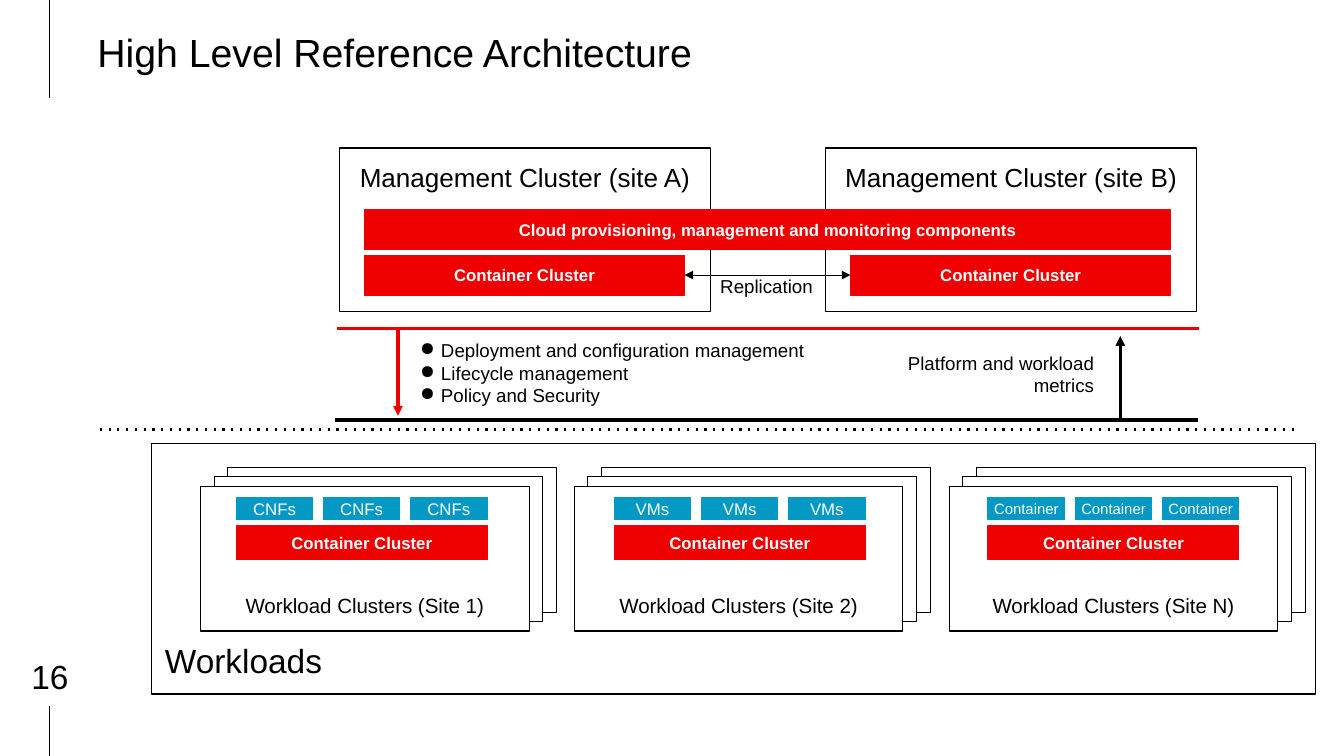
from dataclasses import dataclass

from lxml import etree
from pptx import Presentation
from pptx.dml.color import RGBColor
from pptx.enum.shapes import MSO_CONNECTOR, MSO_SHAPE
from pptx.enum.text import MSO_ANCHOR, PP_ALIGN
from pptx.oxml.ns import qn
from pptx.util import Emu, Inches, Pt

RECT = MSO_SHAPE.RECTANGLE
STRAIGHT = MSO_CONNECTOR.STRAIGHT
TOP, MIDDLE, BOTTOM = MSO_ANCHOR.TOP, MSO_ANCHOR.MIDDLE, MSO_ANCHOR.BOTTOM
LEFT, CENTER, RIGHT = PP_ALIGN.LEFT, PP_ALIGN.CENTER, PP_ALIGN.RIGHT

BLACK = RGBColor(0x00, 0x00, 0x00)
WHITE = RGBColor(0xFF, 0xFF, 0xFF)
RED = RGBColor(0xEE, 0x00, 0x00)
BLUE = RGBColor(0x04, 0x99, 0xC5)

FONT = "Arial"
PAD = 1.3
COLS, ROWS = 128, 72  # square grid cells

deck = Presentation()
deck.slide_width, deck.slide_height = Inches(12.8), Inches(7.2)
slide = deck.slides.add_slide(deck.slide_layouts[6])


@dataclass
class Area:
    """Place and size in grid columns and rows."""
    col: float
    row: float
    wide: float
    high: float


@dataclass
class Site:
    name: str
    col: float
    bar: float
    chip: str
    size: float = 11.5
    pad: float = PAD


def across(cols: float) -> Emu:
    return Emu(round(deck.slide_width * cols / COLS))


def down(rows: float) -> Emu:
    return Emu(round(deck.slide_height * rows / ROWS))


def spot(area: Area) -> tuple:
    return across(area.col), down(area.row), across(area.wide), down(area.high)


def add_dots(para) -> None:
    props = para._p.get_or_add_pPr()
    props.set("marL", str(across(2.5)))
    props.set("indent", str(across(-2)))
    tint = etree.SubElement(props, qn("a:buClr"))
    etree.SubElement(tint, qn("a:srgbClr"), val=str(BLACK))
    etree.SubElement(props, qn("a:buChar"), char="●")


def write(shape, text: str, *, size: float, color: RGBColor = BLACK,
          bold: bool = False, align=CENTER, anchor=MIDDLE,
          pads: tuple = (PAD, PAD), dots: bool = False) -> None:
    """Set text; pads are the side and the top/bottom insets."""
    frame = shape.text_frame
    frame.word_wrap = True
    frame.vertical_anchor = anchor
    frame.margin_left = frame.margin_right = across(pads[0])
    frame.margin_top = frame.margin_bottom = down(pads[1])
    frame.text = text
    for para in frame.paragraphs:
        para.alignment = align
        if dots:
            add_dots(para)
        font = para.font
        font.name, font.size, font.bold = FONT, Pt(size), bold
        font.color.rgb = color


def box(area: Area, fill: RGBColor = WHITE, edge: RGBColor = BLACK):
    shape = slide.shapes.add_shape(RECT, *spot(area))
    shape.shadow.inherit = False
    shape.fill.solid()
    shape.fill.fore_color.rgb = fill
    shape.line.color.rgb = edge
    shape.line.width = Pt(0.75)
    return shape


def bar(area: Area, text: str):
    shape = box(area, RED, RED)
    write(shape, text, size=11.5, color=WHITE, bold=True)
    return shape


def label(area: Area, text: str, **form) -> None:
    write(slide.shapes.add_textbox(*spot(area)), text, **form)


def rule(start: tuple, end: tuple, color: RGBColor = BLACK,
         width: float = 0.75, dash: str = "", heads: tuple = ()):
    line = slide.shapes.add_connector(
        STRAIGHT, across(start[0]), down(start[1]), across(end[0]), down(end[1]))
    line.line.color.rgb = color
    line.line.width = Pt(width)
    stroke = line.line._get_or_add_ln()
    if dash:
        etree.SubElement(stroke, qn("a:prstDash"), val=dash)
    for head in heads:
        etree.SubElement(stroke, qn(f"a:{head}"), type="triangle")
    etree.SubElement(line._element.spPr, qn("a:effectLst"))
    return line


def draw_site(site: Site) -> None:
    for back in (2, 1, 0):
        card = box(Area(site.col + 1.3 * back, 46.3 - 0.9 * back, 31.3, 13.8))
    write(card, f"Workload Clusters ({site.name})", size=14.1, anchor=BOTTOM)
    bar(Area(site.bar, 50.1, 23.9, 3.2), "Container Cluster")
    for step in range(3):
        chip = box(Area(site.bar + 8.3 * step, 47.4, 7.3, 2.1), BLUE, BLUE)
        write(chip, site.chip, size=site.size, color=WHITE, pads=(site.pad, PAD))


# Frame, title and page number
rule((4.7, 0), (4.7, 9.3))
rule((4.7, 67.2), (4.7, ROWS))
label(Area(8.3, 0.6, 112.4, 8.6), "High Level Reference Architecture",
      size=26.9, align=LEFT, pads=(1, 1))
label(Area(0.9, 64.8, 7.7, 1.5), "16", size=22.9, anchor=BOTTOM, pads=(0, 0))

# Management clusters
bars = []
for name, col in (("A", 32.3), ("B", 78.6)):
    write(box(Area(col, 14.1, 35.4, 15.6)), f"Management Cluster (site {name})",
          size=17.9, anchor=TOP)
    bars.append(bar(Area(col + 2.4, 24.3, 30.5, 3.8), "Container Cluster"))
bar(Area(34.7, 20, 76.8, 3.8),
    "Cloud provisioning, management and monitoring components")
link = rule((65.2, 26.2), (81, 26.2), heads=("headEnd", "tailEnd"))
link.begin_connect(bars[0], 3)
link.end_connect(bars[1], 1)
label(Area(67.3, 25.1, 11.6, 4.7), "Replication", size=12.8, align=LEFT, anchor=TOP)

# Flows between management and workloads
rule((32.1, 31.3), (114.2, 31.3), RED, 2.25)
rule((37.9, 31.4), (37.9, 39.6), RED, 2.25, heads=("tailEnd",))
label(Area(38.2, 31, 41.1, 5.6),
      "Deployment and configuration management\n"
      "Lifecycle management\nPolicy and Security",
      size=12.8, align=LEFT, anchor=TOP, dots=True)
rule((31.9, 40), (114.1, 40), width=2.25)
rule((106.7, 40), (106.7, 32), width=2.25, heads=("tailEnd",))
label(Area(83.9, 32.2, 21.6, 6.9), "Platform and workload metrics",
      size=12.8, align=RIGHT, anchor=TOP)
rule((9.5, 40.9), (123.8, 40.9), width=1.5, dash="dot")

# Workloads
write(box(Area(14.4, 42.2, 110.9, 23.9)), "Workloads",
      size=22.9, align=LEFT, anchor=BOTTOM)
for site in (Site("Site 1", 19.1, 22.5, "CNFs"),
             Site("Site 2", 54.7, 58.5, "VMs"),
             Site("Site N", 90.4, 94.1, "Container", 10.2, 0)):
    draw_site(site)

deck.save("out.pptx")
